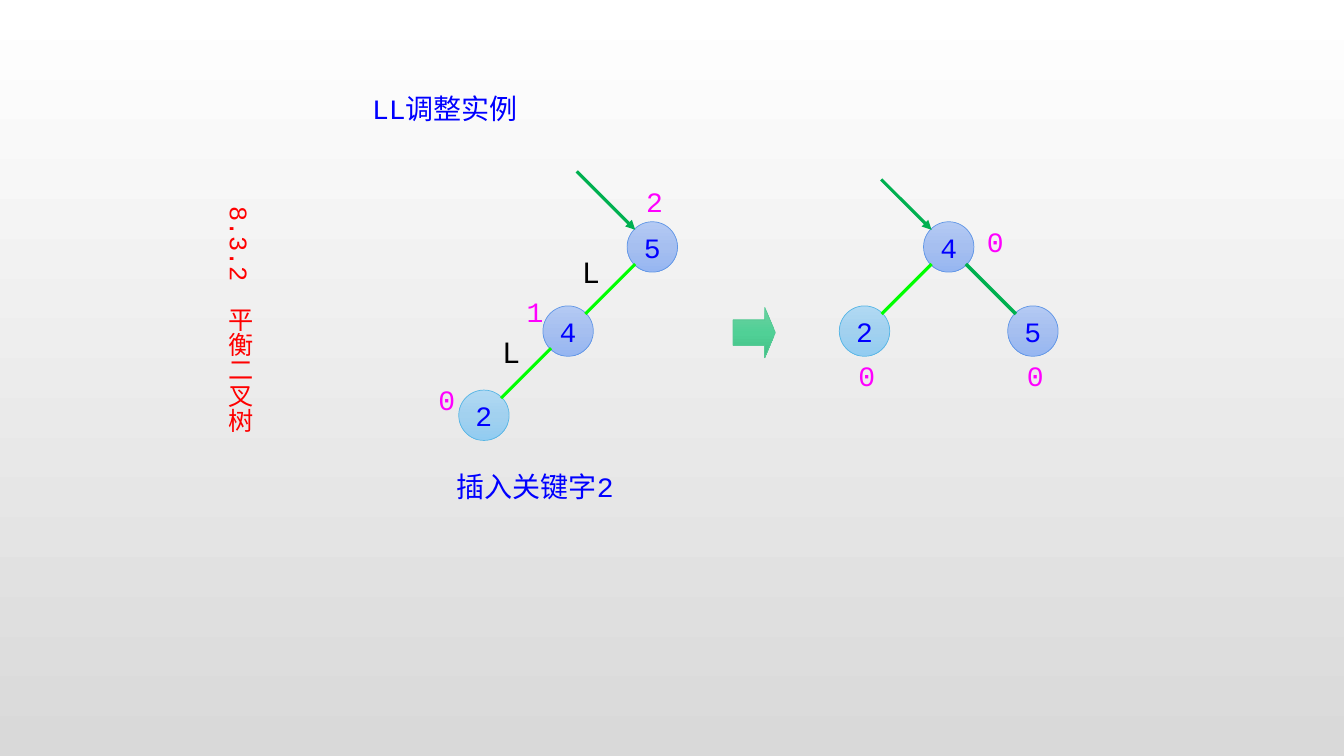
from copy import deepcopy

from lxml.etree import SubElement
from pptx import Presentation
from pptx.dml.color import RGBColor
from pptx.enum.shapes import MSO_CONNECTOR, MSO_SHAPE
from pptx.enum.text import MSO_ANCHOR, PP_ALIGN
from pptx.oxml.ns import qn
from pptx.util import Inches, Pt

BLUE = RGBColor(0x00, 0x00, 0xFF)
MAGENTA = RGBColor(0xFF, 0x00, 0xFF)
RED = RGBColor(0xFF, 0x00, 0x00)
BLACK = RGBColor(0x00, 0x00, 0x00)
LIME = RGBColor(0x00, 0xFF, 0x00)
GREEN = RGBColor(0x00, 0xB0, 0x50)
BACKGROUND = (RGBColor(0xFF, 0xFF, 0xFF), RGBColor(0xD9, 0xD9, 0xD9))
# Three gradient colours and the outline
OLD_NODE = (RGBColor(0xB4, 0xCA, 0xF3), RGBColor(0xA6, 0xBF, 0xF0),
            RGBColor(0x96, 0xB6, 0xF1), RGBColor(0x60, 0x96, 0xE6))
NEW_NODE = (RGBColor(0xB1, 0xD9, 0xF3), RGBColor(0xA2, 0xD1, 0xEF),
            RGBColor(0x92, 0xCC, 0xF1), RGBColor(0x58, 0xB6, 0xE5))
STEP_ARROW = (RGBColor(0x6D, 0xD1, 0xA1), RGBColor(0x50, 0xD0, 0x96),
              RGBColor(0x41, 0xBF, 0x85), RGBColor(0x56, 0xCA, 0x95))

MONO = "Courier New"
SANS = "DejaVu Sans"
NODE = 0.5      # node diameter
STEP = 0.835    # distance between tree levels and columns
RIM = 0.17      # offset from a node's centre to its diagonal rim


def fill_gradient(fill, first, last):
    fill.gradient()
    fill.gradient_angle = 270
    for stop, color, position in zip(fill.gradient_stops, (first, last), (0, 1)):
        stop.color.rgb = color
        stop.position = position


def add_run(p, text, color, font=MONO, size=20):
    r = p.add_run()
    r.text = text
    r.font.name = font
    r.font.size = Pt(size)
    r.font.color.rgb = color


def add_label(s, text, left, top, width=0.31, height=0.44, color=MAGENTA,
              font=MONO, size=20):
    tf = s.shapes.add_textbox(Inches(left), Inches(top),
                              Inches(width), Inches(height)).text_frame
    tf.word_wrap = True
    add_run(tf.paragraphs[0], text, color, font, size)
    return tf


def add_glossy(s, kind, left, top, width, height, colors):
    first, middle, last, outline = colors
    sp = s.shapes.add_shape(kind, Inches(left), Inches(top),
                            Inches(width), Inches(height))
    sp.shadow.inherit = False
    fill_gradient(sp.fill, first, last)
    # Middle gradient stop
    stops = next(sp._element.iter(qn("a:gsLst")))
    stops.insert(1, deepcopy(stops[0]))
    stops[1].set("pos", "50000")
    sp.fill.gradient_stops[1].color.rgb = middle
    sp.line.color.rgb = outline
    sp.line.width = Pt(0.5)
    return sp


def add_line(s, x1, y1, x2, y2, color, width=2.25, arrow=False):
    line = s.shapes.add_connector(MSO_CONNECTOR.STRAIGHT, Inches(x1), Inches(y1),
                                  Inches(x2), Inches(y2))
    line.line.color.rgb = color
    line.line.width = Pt(width)
    if arrow:
        SubElement(line.line._get_or_add_ln(), qn("a:tailEnd"), type="triangle")
    SubElement(line._element.spPr, qn("a:effectLst"))


def add_tree(s, x, y, entry, nodes, edges):
    """Draw a tree whose root is centred at (x, y); nodes sit on a grid."""
    def centre(key):
        column, row = nodes[key][:2]
        return x + column * STEP, y + row * STEP

    for key, (_, _, colors, dx, dy, balance) in nodes.items():
        cx, cy = centre(key)
        sp = add_glossy(s, MSO_SHAPE.OVAL, cx - NODE / 2, cy - NODE / 2,
                        NODE, NODE, colors)
        tf = sp.text_frame
        tf.word_wrap = False
        tf.vertical_anchor = MSO_ANCHOR.MIDDLE
        tf.paragraphs[0].alignment = PP_ALIGN.CENTER
        add_run(tf.paragraphs[0], key, BLUE)
        # Balance factor
        add_label(s, balance, cx + dx, cy + dy)
    for parent, child, color, width in edges:
        (px, py), (cx, cy) = centre(parent), centre(child)
        side = RIM if cx > px else -RIM
        add_line(s, px + side, py + RIM, cx - side, cy - RIM, color, width)
    # Arrow into the root
    add_line(s, x - RIM - entry, y - RIM - entry, x - RIM, y - RIM, GREEN, arrow=True)


def add_before(s, x, y):
    add_tree(s, x, y, 0.58, {
        "5": (0, 0, OLD_NODE, -0.16, -0.67, "2"),
        "4": (-1, 1, OLD_NODE, -0.51, -0.41, "1"),
        "2": (-2, 2, NEW_NODE, -0.55, -0.37, "0"),
    }, [("5", "4", LIME, 2.25), ("4", "2", LIME, 2.25)])
    for i in range(2):
        add_label(s, "L", x - 0.79 * (i + 1), y + 0.04 + 0.79 * i,
                  color=BLACK, font=SANS)
    add_label(s, "插入关键字2", x - 2.04, y + 2.16, 2.01, color=BLUE)


def add_after(s, x, y):
    add_tree(s, x, y, 0.5, {
        "4": (0, 0, OLD_NODE, 0.28, -0.27, "0"),
        "2": (-1, 1, NEW_NODE, -0.16, 0.22, "0"),
        "5": (1, 1, OLD_NODE, -0.16, 0.22, "0"),
    }, [("4", "2", LIME, 2.25), ("4", "5", GREEN, 2.5)])


def add_headings(s):
    # Title
    tf = add_label(s, "LL调整实例", 3.42, 0.78, 2.6, 0.52, BLUE)
    tf.margin_left = Inches(0.27)
    tf.paragraphs[0].line_spacing = 1.25
    # Vertical section name
    tf = add_label(s, "8.3.2　平衡二叉树", 2.08, 1.95, 0.5, 3.44, RED, size=18)
    tf._txBody.bodyPr.set("vert", "eaVert")
    tf.paragraphs[0].alignment = PP_ALIGN.CENTER


def main():
    prs = Presentation()
    prs.slide_width, prs.slide_height = Inches(13.33), Inches(7.5)
    s = prs.slides.add_slide(prs.slide_layouts[6])
    fill_gradient(s.background.fill, *BACKGROUND)
    add_headings(s)
    add_before(s, 6.47, 2.45)
    # Step arrow between the trees
    arrow = add_glossy(s, MSO_SHAPE.RIGHT_ARROW, 7.27, 3.05, 0.42, 0.5, STEP_ARROW)
    arrow.adjustments[0] = 0.5
    arrow.adjustments[1] = 0.25
    add_after(s, 9.41, 2.45)
    prs.save("out.pptx")


if __name__ == "__main__":
    main()
